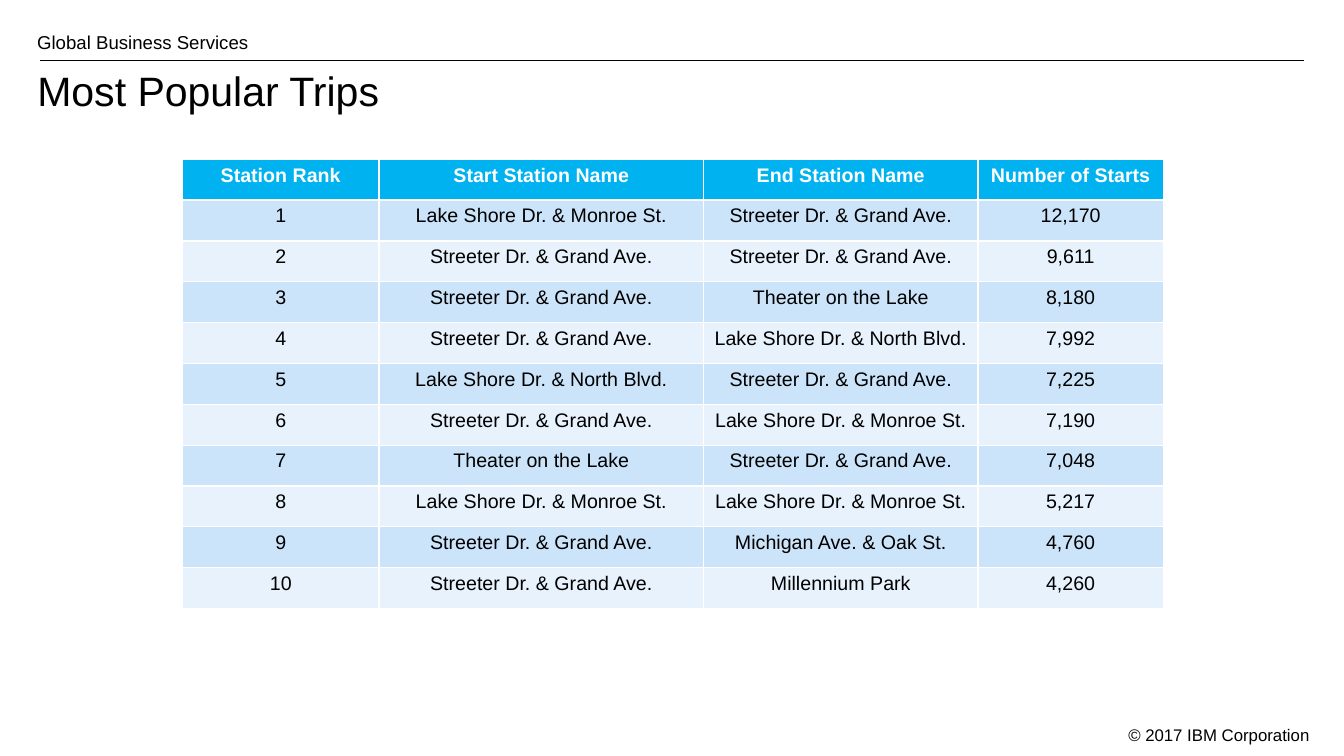
import pptx
import pptx.dml.color
import pptx.enum.shapes
import pptx.enum.text
import pptx.oxml
import pptx.util

Inches = pptx.util.Inches
ALIGN = pptx.enum.text.PP_ALIGN
ANCHOR = pptx.enum.text.MSO_ANCHOR

# Content
TITLE = "Most Popular Trips"
DIVISION = "Global Business Services"
COPYRIGHT = "© 2017 IBM Corporation"
HEADINGS = ("Station Rank", "Start Station Name", "End Station Name", "Number of Starts")
MONROE = "Lake Shore Dr. & Monroe St."
NORTH = "Lake Shore Dr. & North Blvd."
STREETER = "Streeter Dr. & Grand Ave."
THEATER = "Theater on the Lake"
TRIPS = [
    (MONROE, STREETER, 12170),
    (STREETER, STREETER, 9611),
    (STREETER, THEATER, 8180),
    (STREETER, NORTH, 7992),
    (NORTH, STREETER, 7225),
    (STREETER, MONROE, 7190),
    (THEATER, STREETER, 7048),
    (MONROE, MONROE, 5217),
    (STREETER, "Michigan Ave. & Oak St.", 4760),
    (STREETER, "Millennium Park", 4260),
]

# Look
FONT = "Arial"
COLORS = {
    "text": "000000",
    "heading_text": "FFFFFF",
    "heading": "00B2EF",
    "odd_row": "CCE4F9",
    "even_row": "E7F2FC",
}
COLUMN_WIDTHS = (1.95, 3.22, 2.72, 1.84)
TABLE_LEFT, TABLE_TOP, TABLE_HEIGHT = 1.81, 1.58, 4.46


def color(name):
    return pptx.dml.color.RGBColor.from_string(COLORS[name])


def write(text_frame, text, size, color_name="text", align=ALIGN.LEFT, bold=False):
    paragraph = text_frame.paragraphs[0]
    paragraph.alignment = align
    run = paragraph.add_run()
    run.text = text
    run.font.name = FONT
    run.font.size = pptx.util.Pt(size)
    run.font.bold = bold
    run.font.color.rgb = color(color_name)
    return paragraph


def set_frame(text_frame, anchor, side, edge):
    text_frame.word_wrap = True
    text_frame.auto_size = pptx.enum.text.MSO_AUTO_SIZE.NONE
    text_frame.vertical_anchor = anchor
    text_frame.margin_left = text_frame.margin_right = Inches(side)
    text_frame.margin_top = text_frame.margin_bottom = Inches(edge)


def add_label(slide, box, text, size, align, anchor, side, edge):
    label = slide.shapes.add_textbox(*map(Inches, box))
    set_frame(label.text_frame, anchor, side, edge)
    write(label.text_frame, text, size, align=align)


def add_header_and_footer(slide):
    rule = slide.shapes.add_connector(
        pptx.enum.shapes.MSO_CONNECTOR.STRAIGHT,
        Inches(0.4), Inches(0.6), Inches(12.93), Inches(0.6))
    rule.line.color.rgb = color("text")
    rule.line.width = pptx.util.Pt(0.75)
    rule._element.spPr.append(pptx.oxml.parse_xml(
        '<a:effectLst xmlns:a="http://schemas.openxmlformats.org/drawingml/2006/main"/>'))
    add_label(slide, (11.07, 7.15, 2, 0.2), COPYRIGHT, 12, ALIGN.RIGHT, ANCHOR.TOP, 0.08, 0.04)
    add_label(slide, (0.27, 0.33, 11.53, 0.2), DIVISION, 13.3, ALIGN.LEFT, ANCHOR.BOTTOM, 0.1, 0)


def add_title(slide):
    title = slide.shapes.title
    title.left, title.top = Inches(0.27), Inches(0.65)
    title.width, title.height = Inches(12.87), Inches(0.81)
    set_frame(title.text_frame, ANCHOR.TOP, 0.1, 0.05)
    write(title.text_frame, TITLE, 29.3).line_spacing = 0.9


def add_trip_table(slide):
    rows = [HEADINGS]
    for rank, (start, end, count) in enumerate(TRIPS, 1):
        rows.append((str(rank), start, end, f"{count:,}"))
    table = slide.shapes.add_table(
        len(rows), len(HEADINGS), Inches(TABLE_LEFT), Inches(TABLE_TOP),
        Inches(sum(COLUMN_WIDTHS)), Inches(TABLE_HEIGHT)).table
    for column, width in zip(table.columns, COLUMN_WIDTHS):
        column.width = Inches(width)
    for row_index, values in enumerate(rows):
        heading = row_index == 0
        fill = "heading" if heading else "odd_row" if row_index % 2 else "even_row"
        text_color = "heading_text" if heading else "text"
        for column_index, value in enumerate(values):
            cell = table.cell(row_index, column_index)
            cell.fill.solid()
            cell.fill.fore_color.rgb = color(fill)
            write(cell.text_frame, value, 14, text_color, ALIGN.CENTER, heading)


def main():
    presentation = pptx.Presentation()
    presentation.slide_width = Inches(13.33)
    presentation.slide_height = Inches(7.5)
    slide = presentation.slides.add_slide(presentation.slide_layouts.get_by_name("Title Only"))
    add_header_and_footer(slide)
    add_title(slide)
    add_trip_table(slide)
    presentation.save("out.pptx")


if __name__ == "__main__":
    main()
